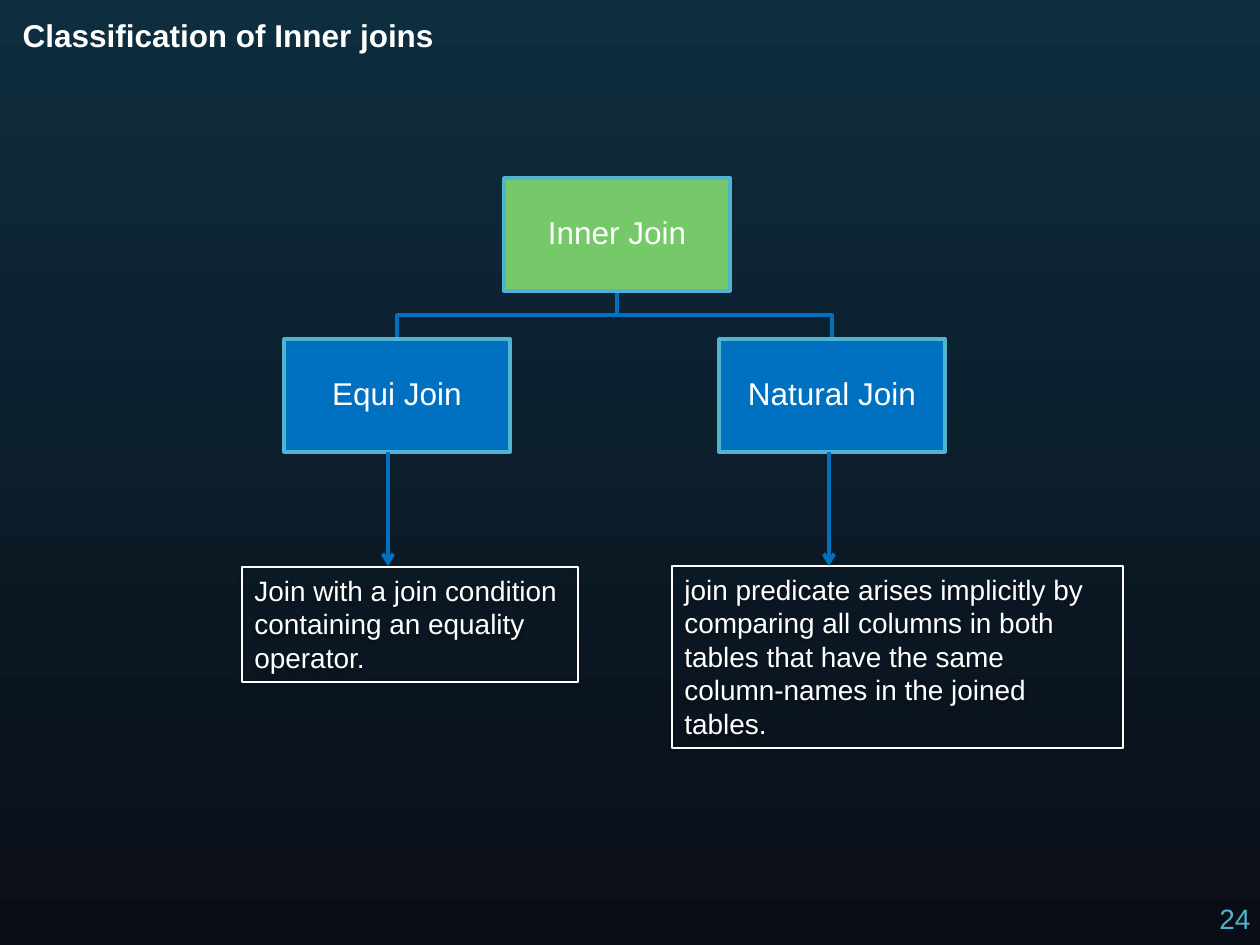
"""Build a slide that shows the two kinds of inner join as a tree."""
from lxml import etree
from pptx import Presentation
from pptx.dml.color import RGBColor
from pptx.enum.shapes import MSO_CONNECTOR, MSO_SHAPE
from pptx.enum.text import MSO_ANCHOR, PP_ALIGN
from pptx.oxml.ns import qn
from pptx.util import Emu, Pt

PX = 914400 / 126
RECT = MSO_SHAPE.RECTANGLE
LINE = MSO_CONNECTOR.STRAIGHT
TOP, MID = MSO_ANCHOR.TOP, MSO_ANCHOR.MIDDLE
LEFT, MIDDLE = PP_ALIGN.LEFT, PP_ALIGN.CENTER
WHITE = RGBColor(0xFF, 0xFF, 0xFF)
BLUE = RGBColor(0x00, 0x70, 0xC0)
GREEN = RGBColor(0x76, 0xC9, 0x68)
CYAN = RGBColor(0x50, 0xB3, 0xCF)
NAVY = RGBColor(0x0E, 0x2D, 0x3F)
BLACK = RGBColor(0x0A, 0x0D, 0x16)


def px(*nums):
    return [Emu(round(n * PX)) for n in nums]


def write(shape, text, size, color=WHITE, bold=False, align=LEFT, anchor=TOP):
    frame = shape.text_frame
    frame.word_wrap = True
    frame.vertical_anchor = anchor
    para = frame.paragraphs[0]
    para.alignment = align
    run = para.add_run()
    run.text = text
    run.font.name = "Arial"
    run.font.size = Pt(size)
    run.font.bold = bold
    run.font.color.rgb = color
    return para


deck = Presentation()
deck.slide_width, deck.slide_height = px(1260, 945)
slide = deck.slides.add_slide(deck.slide_layouts[5])
shapes = slide.shapes

back = slide.background.fill
back.gradient()
back.gradient_angle = 270
for stop, color in zip(back.gradient_stops, (NAVY, BLACK)):
    stop.color.rgb = color

num = shapes.add_textbox(*px(1207, 895, 102, 32))
write(num, "24", 16, CYAN)

title = shapes.title
title.left, title.top, title.width, title.height = px(10, 10, 945, 73)
write(title, "Classification of Inner joins", 18, bold=True)

wide, high = 226, 113
root, top, low = 617, 178, 339
fork = (top + high + low) // 2
for end in (832, 397):
    build = shapes.build_freeform(root, top + high, scale=PX)
    build.add_line_segments([(root, fork), (end, fork), (end, low)], close=False)
    branch = build.convert_to_shape()
    branch.shadow.inherit = False
    branch.fill.background()
    branch.line.color.rgb = BLUE
    branch.line.width = Pt(2)

for mid, y, color, text in (
    (root, top, GREEN, "Inner Join"),
    (397, low, BLUE, "Equi Join"),
    (832, low, BLUE, "Natural Join"),
):
    box = shapes.add_shape(RECT, *px(mid - wide // 2, y, wide, high))
    box.shadow.inherit = False
    box.fill.solid()
    box.fill.fore_color.rgb = color
    box.line.color.rgb = CYAN
    box.line.width = Pt(2)
    frame = box.text_frame
    frame.margin_left, frame.margin_top, frame.margin_right, frame.margin_bottom = px(1, 1, 1, 1)
    para = write(box, text, 18, align=MIDDLE, anchor=MID)
    para.line_spacing = 0.9

for x, y, w, h, stem, text in (
    (242, 567, 336, 115, 388,
     "Join with a join condition containing an equality operator."),
    (672, 566, 451, 182, 829,
     "join predicate arises implicitly by comparing all columns in both tables "
     "that have the same column-names in the joined tables."),
):
    note = shapes.add_shape(RECT, *px(x, y, w, h))
    note.shadow.inherit = False
    note.fill.background()
    note.line.color.rgb = WHITE
    note.line.width = Pt(0.75)
    write(note, text, 16)
    cast = etree.SubElement(
        note.element.spPr.find(qn("a:effectLst")), qn("a:outerShdw"),
        blurRad=str(Pt(3.1)), dist=str(Pt(1.6)), dir="5400000", rotWithShape="0")
    tint = etree.SubElement(cast, qn("a:srgbClr"), val="000000")
    etree.SubElement(tint, qn("a:alpha"), val="38000")

    arrow = shapes.add_connector(LINE, *px(stem, low + high, stem, 566))
    arrow.line.color.rgb = BLUE
    arrow.line.width = Pt(2.25)
    etree.SubElement(arrow.line._get_or_add_ln(), qn("a:tailEnd"), type="arrow")
    etree.SubElement(arrow.element.spPr, qn("a:effectLst"))

deck.save("out.pptx")
